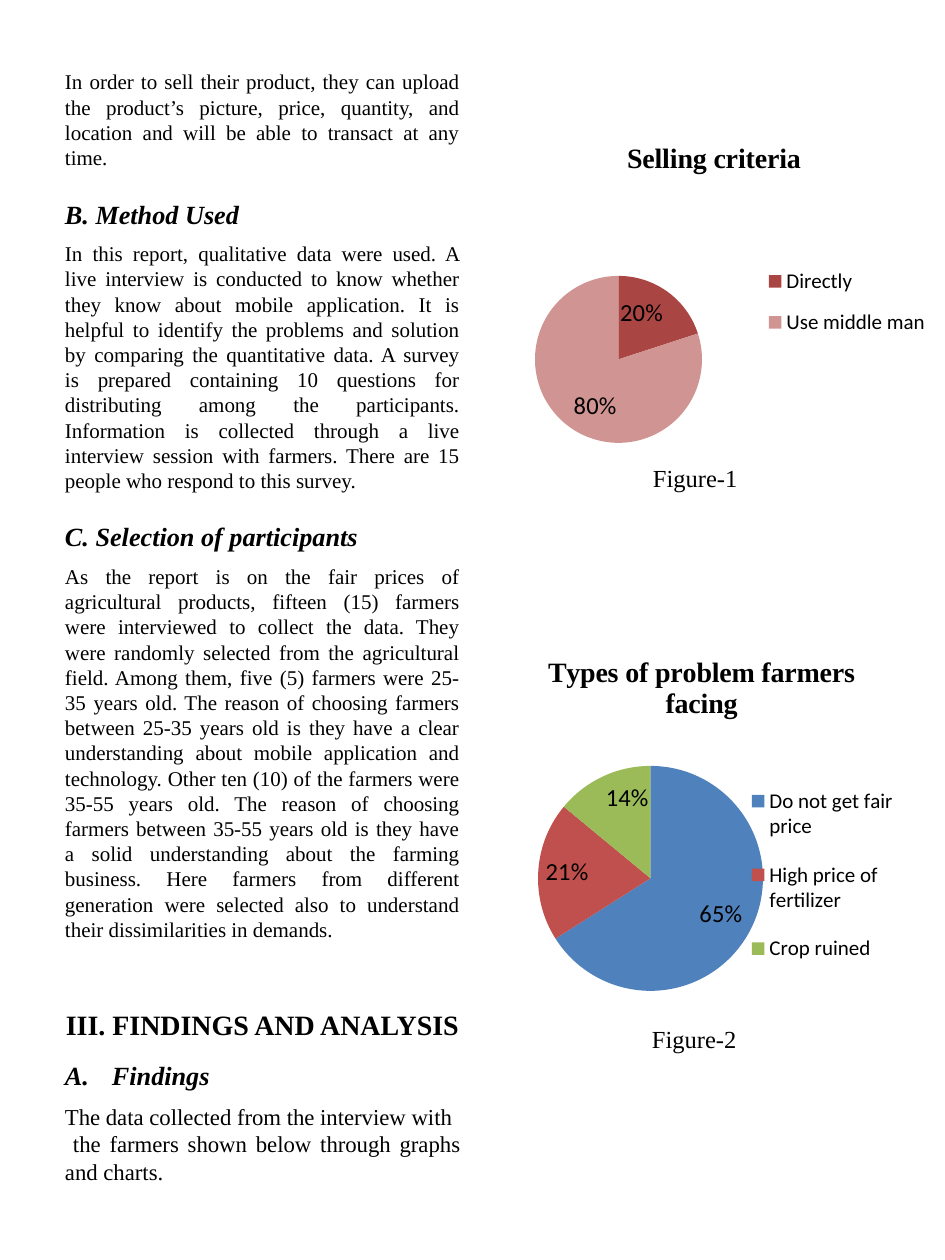
from dataclasses import dataclass

from lxml import etree
from pptx import Presentation
from pptx import util as u
from pptx.chart.data import CategoryChartData
from pptx.dml.color import RGBColor
from pptx.enum import chart as ch
from pptx.enum import text
from pptx.oxml.ns import qn

SCALE = 914400 / 126
LEAD = 1.2
LEFT = text.PP_ALIGN.LEFT
MID = text.PP_ALIGN.CENTER
FULL = text.PP_ALIGN.JUSTIFY


@dataclass(frozen=True)
class Theme:
    serif: str = "Times New Roman"
    sans: str = "Calibri"
    ink: str = "000000"
    rose: tuple = ("A94643", "D09592")
    mixed: tuple = ("4F81BD", "C0504D", "9BBB59")
    body: int = 12
    lead: int = 13
    head: int = 15
    title: int = 16
    note: int = 14


T = Theme()

INTRO = "In order to sell their product, they can upload the product’s picture, price, quantity, and location and will be able to transact at any time."
METHOD = "In this report, qualitative data were used. A live interview is conducted to know whether they know about mobile application. It is helpful to identify the problems and solution by comparing the quantitative data. A survey is prepared containing 10 questions for distributing among the participants. Information is collected through a live interview session with farmers. There are 15 people who respond to this survey."
PEOPLE = "As the report is on the fair prices of agricultural products, fifteen (15) farmers were interviewed to collect the data. They were randomly selected from the agricultural field. Among them, five (5) farmers were 25-35 years old. The reason of choosing farmers between 25-35 years old is they have a clear understanding about mobile application and technology. Other ten (10) of the farmers were 35-55 years old. The reason of choosing farmers between 35-55 years old is they have a solid understanding about the farming business. Here farmers from different generation were selected also to understand their dissimilarities in demands."


def px(n):
    return u.Emu(round(n * SCALE))


def style(font, size, name, bold=False, slant=False):
    font.size = u.Pt(size)
    font.name = name
    font.bold = bold
    font.italic = slant
    font.color.rgb = RGBColor.from_string(T.ink)


def frame(box, at):
    box.left, box.top, box.width, box.height = map(px, at)
    tf = box.text_frame
    tf.auto_size = text.MSO_AUTO_SIZE.NONE
    tf.vertical_anchor = text.MSO_ANCHOR.TOP
    tf.margin_left = tf.margin_right = tf.margin_top = tf.margin_bottom = 0
    return tf


def para(tf, words, size, gap=0, align=FULL, bold=False, slant=False,
         hang=0, first=0, mark=None):
    p = tf.paragraphs[0]
    if p.text:
        p = tf.add_paragraph()
    p.text = words
    p.alignment = align
    p.line_spacing = u.Pt(size * LEAD)
    p.space_before = u.Pt(gap)
    props = p._p.get_or_add_pPr()
    props.set("marL", str(px(hang)))
    props.set("indent", str(px(first)))
    if mark:
        etree.SubElement(props, qn("a:buFont"), typeface="+mj-lt")
        etree.SubElement(props, qn("a:buAutoNum"), type=mark)
    else:
        etree.SubElement(props, qn("a:buNone"))
    style(p.runs[0].font, size, T.serif, bold, slant)


def head(tf, words, gap, **more):
    para(tf, words, T.head, gap, LEFT, bold=True, slant=True, **more)


def place(node, base, at, inner=False):
    old = node.find(qn("c:layout"))
    if old is not None:
        node.remove(old)
    new = etree.Element(qn("c:layout"))
    hand = etree.SubElement(new, qn("c:manualLayout"))
    if inner:
        etree.SubElement(hand, qn("c:layoutTarget"), val="inner")
    for side in "xy":
        etree.SubElement(hand, qn(f"c:{side}Mode"), val="edge")
    parts = [at[0] - base[0], at[1] - base[1], *at[2:]]
    for key, part, full in zip("xywh", parts, base[2:] * 2):
        etree.SubElement(hand, qn(f"c:{key}"), val=f"{part / full:.4f}")
    over = node.find(qn("c:overlay"))
    if over is None:
        node.insert(0, new)
    else:
        over.addprevious(new)


def pie(slide, at, title, rows, fills, spots, marks=()):
    data = CategoryChartData()
    data.categories = [name for name, _ in rows]
    data.add_series("Series 1", [value for _, value in rows])
    chart = slide.shapes.add_chart(
        ch.XL_CHART_TYPE.PIE, *map(px, at), data).chart
    style(chart.font, 18, T.sans)
    chart.has_title = True
    tf = chart.chart_title.text_frame
    tf.text = title
    style(tf.paragraphs[0].runs[0].font, T.title, T.serif, bold=True)
    chart.has_legend = True
    chart.legend.position = ch.XL_LEGEND_POSITION.RIGHT
    chart.legend.include_in_layout = False
    style(chart.legend.font, T.body, T.sans)

    plot = chart.plots[0]
    plot.vary_by_categories = True
    plot.has_data_labels = True
    tags = plot.data_labels
    tags.show_percentage = True
    tags.show_value = False
    tags.number_format = "0%"
    tags.number_format_is_linked = False
    tags.position = ch.XL_LABEL_POSITION.INSIDE_END
    style(tags.font, T.note, T.sans)
    points = plot.series[0].points
    for i, fill in enumerate(fills):
        paint = points[i].format.fill
        paint.solid()
        paint.fore_color.rgb = RGBColor.from_string(fill)
    for i, mark in enumerate(marks):
        tag = points[i].data_label
        tag.text_frame.text = mark
        style(tag.text_frame.paragraphs[0].runs[0].font, T.note, T.sans)
        tag.position = ch.XL_LABEL_POSITION.INSIDE_END

    root = chart._chartSpace
    for key, spot in spots.items():
        place(root.find(".//" + qn(f"c:{key}")), at, spot, key == "plotArea")


def note(slide, words, at):
    tf = frame(slide.shapes.add_textbox(0, 0, 0, 0), at)
    tf.word_wrap = False
    tf.text = words
    style(tf.paragraphs[0].runs[0].font, T.note, T.serif)


def column(slide):
    title = slide.shapes.title.element
    title.getparent().remove(title)
    tf = frame(slide.placeholders[1], (65, 69, 395, 1140))
    tf.word_wrap = True
    para(tf, INTRO, T.body)
    head(tf, "B. Method Used", 16)
    para(tf, METHOD, T.body, 6.5)
    head(tf, "C. Selection of participants", 16)
    para(tf, PEOPLE, T.body, 6.5)
    para(tf, "III. FINDINGS AND ANALYSIS", T.title, 38, MID, bold=True)
    head(tf, "Findings", 10, hang=47, first=-47, mark="alphaUcPeriod")
    para(tf, "The data collected from the interview with", T.lead, 7)
    para(tf, "the farmers shown below through graphs and charts.", T.lead, first=8)


def main():
    deck = Presentation()
    deck.slide_width, deck.slide_height = px(945), px(1260)
    slide = deck.slides.add_slide(deck.slide_layouts[1])
    column(slide)
    pie(slide, (472, 116, 473, 345), "Selling criteria",
        [("Directly", 20), ("Use middle man", 80)], T.rose,
        {"title": (622, 135), "plotArea": (535, 276, 167, 167),
         "legend": (752, 253, 190, 98)})
    pie(slide, (470, 620, 475, 397), "Types of problem farmers facing",
        [("Do not get fair price", 66), ("High price of fertilizer", 20),
         ("Crop ruined", 14)], T.mixed,
        {"title": (543, 649), "plotArea": (538, 766, 225, 225),
         "legend": (742, 765, 161, 220)},
        ("65%", "21%", "14%"))
    note(slide, "Figure-1", (653, 463, 90, 30))
    note(slide, "Figure-2", (652, 1024, 90, 30))
    deck.save("out.pptx")


if __name__ == "__main__":
    main()
